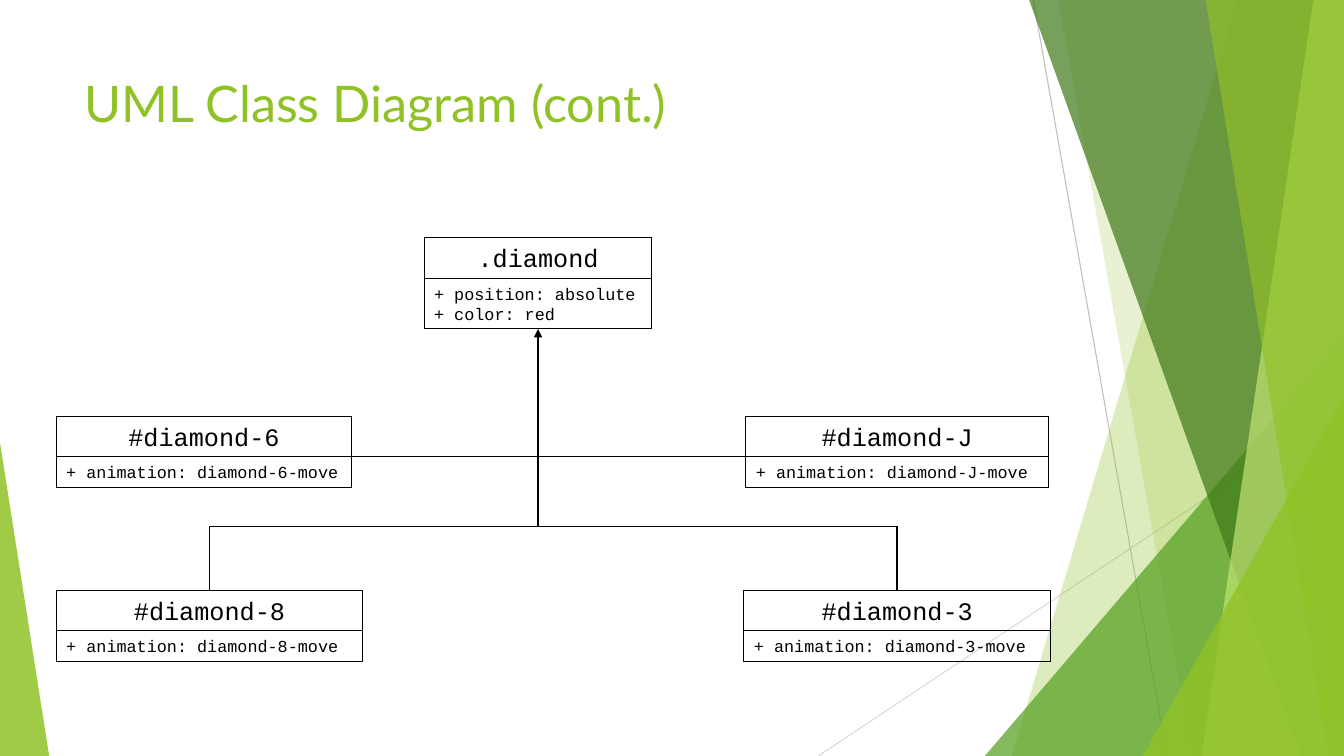
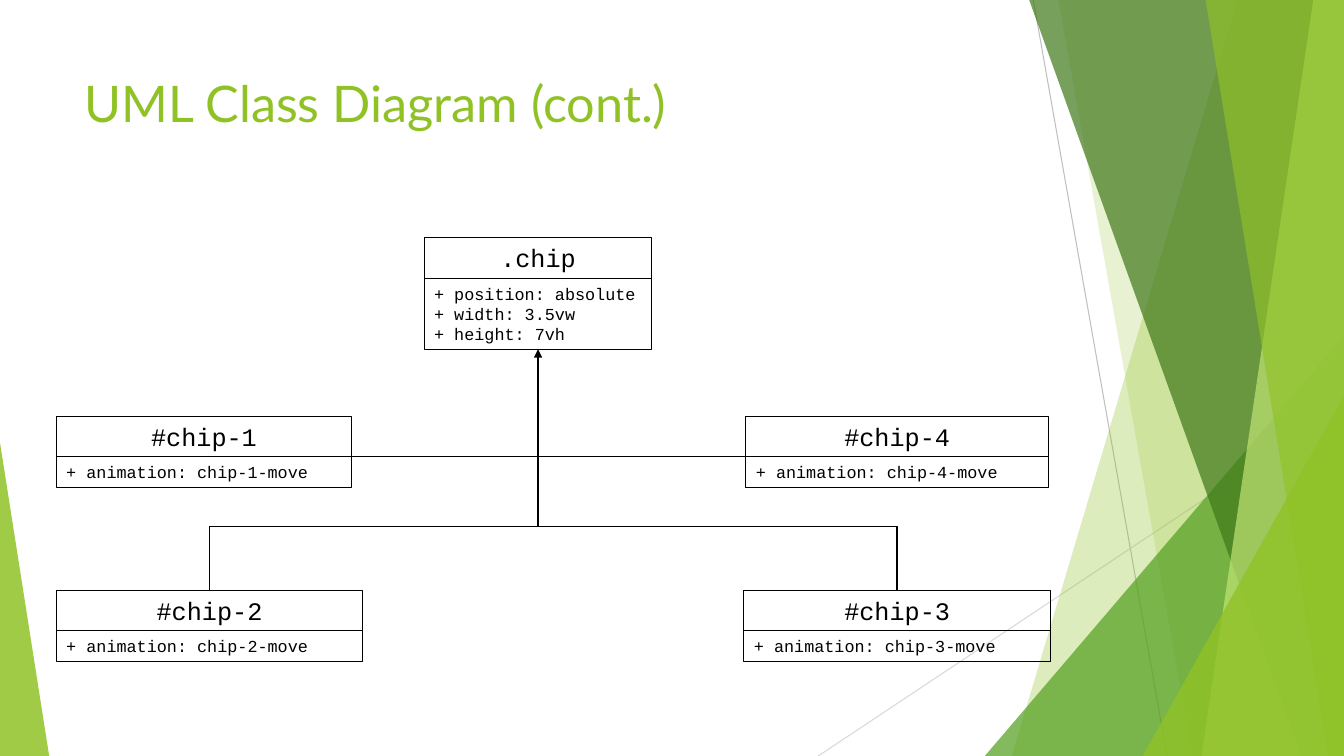
from lxml.etree import SubElement
from pptx import Presentation
from pptx.dml.color import RGBColor
from pptx.enum.shapes import MSO_CONNECTOR, MSO_SHAPE
from pptx.enum.text import MSO_ANCHOR, MSO_AUTO_SIZE, PP_ALIGN
from pptx.oxml.ns import qn
from pptx.util import Cm, Pt

WIDTH, HEIGHT = 33.87, 19.05
BLACK = RGBColor(0x00, 0x00, 0x00)
GRAY = RGBColor(0xBF, 0xBF, 0xBF)
LIGHT_GRAY = RGBColor(0xD9, 0xD9, 0xD9)
LIME = RGBColor(0x90, 0xC2, 0x26)
PALE_LIME = RGBColor(0xC0, 0xE4, 0x74)
GREEN = RGBColor(0x54, 0xA0, 0x21)
DARK_GREEN = RGBColor(0x3F, 0x78, 0x19)
TITLE_FONT, CODE_FONT = "Lato", "Courier New"

NAME_H = 1.02
MEMBER_PAD, MEMBER_LINE = 0.26, 0.51
PARENT_X, PARENT_Y, PARENT_W = 10.69, 5.99, 5.74
AXIS_X = PARENT_X + PARENT_W / 2
LEFT_X = 1.42
MIDDLE_Y, MIDDLE_LEFT_W, MIDDLE_RIGHT_X, MIDDLE_RIGHT_W = 10.49, 7.44, 18.8, 7.62
LOWER_Y, LOWER_RIGHT_X, LOWER_W = 14.88, 18.75, 7.72
BUS_Y = 13.26

DIAGRAMS = [
    (".diamond", ["position: absolute", "color: red"],
     ["diamond-6", "diamond-J", "diamond-8", "diamond-3"]),
    (".chip", ["position: absolute", "width: 3.5vw", "height: 7vh"],
     ["chip-1", "chip-4", "chip-2", "chip-3"]),
]


def add_line(s, x1, y1, x2, y2, color=BLACK, width=1, arrow=False):
    line = s.shapes.add_connector(
        MSO_CONNECTOR.STRAIGHT, Cm(x1), Cm(y1), Cm(x2), Cm(y2))
    line.line.color.rgb = color
    line.line.width = Pt(width)
    spPr = line.element.spPr
    if arrow:
        SubElement(spPr.find(qn("a:ln")), qn("a:tailEnd"), type="triangle")
    SubElement(spPr, qn("a:effectLst"))


def paint(sp, color, opacity):
    sp.shadow.inherit = False
    sp.line.fill.background()
    sp.fill.solid()
    sp.fill.fore_color.rgb = color
    clr = sp.element.spPr.find(".//" + qn("a:srgbClr"))
    SubElement(clr, qn("a:alpha"), val=str(opacity * 1000))


def add_band(s, top_x, bottom_x, color, opacity):
    builder = s.shapes.build_freeform(Cm(top_x), Cm(-0.02))
    builder.add_line_segments([
        (Cm(WIDTH), Cm(-0.02)), (Cm(WIDTH), Cm(HEIGHT)), (Cm(bottom_x), Cm(HEIGHT))])
    paint(builder.convert_to_shape(), color, opacity)


def add_corner(s, left, right, top, apex, color, opacity):
    sp = s.shapes.add_shape(MSO_SHAPE.ISOSCELES_TRIANGLE, Cm(left), Cm(top),
                            Cm(right - left), Cm(HEIGHT - top))
    sp.adjustments[0] = apex
    paint(sp, color, opacity)


def decorate(s):
    add_line(s, 26.04, 0, 29.41, HEIGHT, GRAY, 0.75)
    add_line(s, WIDTH, 10.24, 20.62, HEIGHT, LIGHT_GRAY, 0.75)
    add_band(s, 31.19, 25.5, LIME, 30)
    add_band(s, 26.67, 30.05, LIME, 20)
    add_corner(s, 24.82, WIDTH, 8.46, 1, GREEN, 72)
    add_band(s, 25.93, 32.79, DARK_GREEN, 70)
    add_band(s, 33.1, 30.28, PALE_LIME, 70)
    add_band(s, 30.38, 33.48, LIME, 65)
    add_corner(s, 28.8, WIDTH, 9.98, 1, LIME, 80)
    add_corner(s, 0, 1.24, 11.15, 0, LIME, 85)


def share_decoration(s, layout):
    decorate(s)
    for sp in list(s.shapes):
        layout.shapes.element.append(sp.element)


def add_title(s, text):
    tf = s.shapes.add_textbox(Cm(1.88), Cm(1.7), Cm(23.88), Cm(3.66)).text_frame
    tf.word_wrap = True
    p = tf.paragraphs[0]
    p.text = text
    p.font.name = TITLE_FONT
    p.font.size = Pt(36)
    p.font.color.rgb = LIME


def add_cell(s, x, y, w, h, lines, size, align):
    sp = s.shapes.add_shape(MSO_SHAPE.RECTANGLE, Cm(x), Cm(y), Cm(w), Cm(h))
    sp.shadow.inherit = False
    sp.fill.background()
    sp.line.color.rgb = BLACK
    sp.line.width = Pt(0.75)
    tf = sp.text_frame
    tf.word_wrap = True
    tf.auto_size = MSO_AUTO_SIZE.SHAPE_TO_FIT_TEXT
    tf.vertical_anchor = MSO_ANCHOR.MIDDLE
    tf.text = "\n".join(lines)
    for p in tf.paragraphs:
        p.alignment = align
        p.font.name = CODE_FONT
        p.font.size = Pt(size)
        p.font.color.rgb = BLACK


def add_class(s, x, y, w, name, members):
    members_h = MEMBER_PAD + MEMBER_LINE * len(members)
    add_cell(s, x, y, w, NAME_H, [name], 18, PP_ALIGN.CENTER)
    add_cell(s, x, y + NAME_H, w, members_h,
             [f"+ {member}" for member in members], 12, PP_ALIGN.LEFT)
    return y + NAME_H + members_h


def add_child(s, x, y, w, name):
    add_class(s, x, y, w, f"#{name}", [f"animation: {name}-move"])


def add_diagram(s, parent, members, children):
    parent_bottom = add_class(s, PARENT_X, PARENT_Y, PARENT_W, parent, members)
    add_line(s, AXIS_X, BUS_Y, AXIS_X, parent_bottom, arrow=True)

    middle_left, middle_right, lower_left, lower_right = children
    add_child(s, LEFT_X, MIDDLE_Y, MIDDLE_LEFT_W, middle_left)
    add_child(s, MIDDLE_RIGHT_X, MIDDLE_Y, MIDDLE_RIGHT_W, middle_right)
    for edge_x in (LEFT_X + MIDDLE_LEFT_W, MIDDLE_RIGHT_X):
        add_line(s, AXIS_X, MIDDLE_Y + NAME_H, edge_x, MIDDLE_Y + NAME_H)

    for x, name in ((LEFT_X, lower_left), (LOWER_RIGHT_X, lower_right)):
        center_x = x + LOWER_W / 2
        add_child(s, x, LOWER_Y, LOWER_W, name)
        add_line(s, AXIS_X, BUS_Y, center_x, BUS_Y)
        add_line(s, center_x, BUS_Y, center_x, LOWER_Y)


def main():
    prs = Presentation()
    prs.slide_width, prs.slide_height = Cm(WIDTH), Cm(HEIGHT)
    layout = prs.slide_layouts[6]
    slides = [prs.slides.add_slide(layout) for _ in DIAGRAMS]
    share_decoration(slides[0], layout)
    for s, diagram in zip(slides, DIAGRAMS):
        add_title(s, "UML Class Diagram (cont.)")
        add_diagram(s, *diagram)
    prs.save("out.pptx")


if __name__ == "__main__":
    main()
